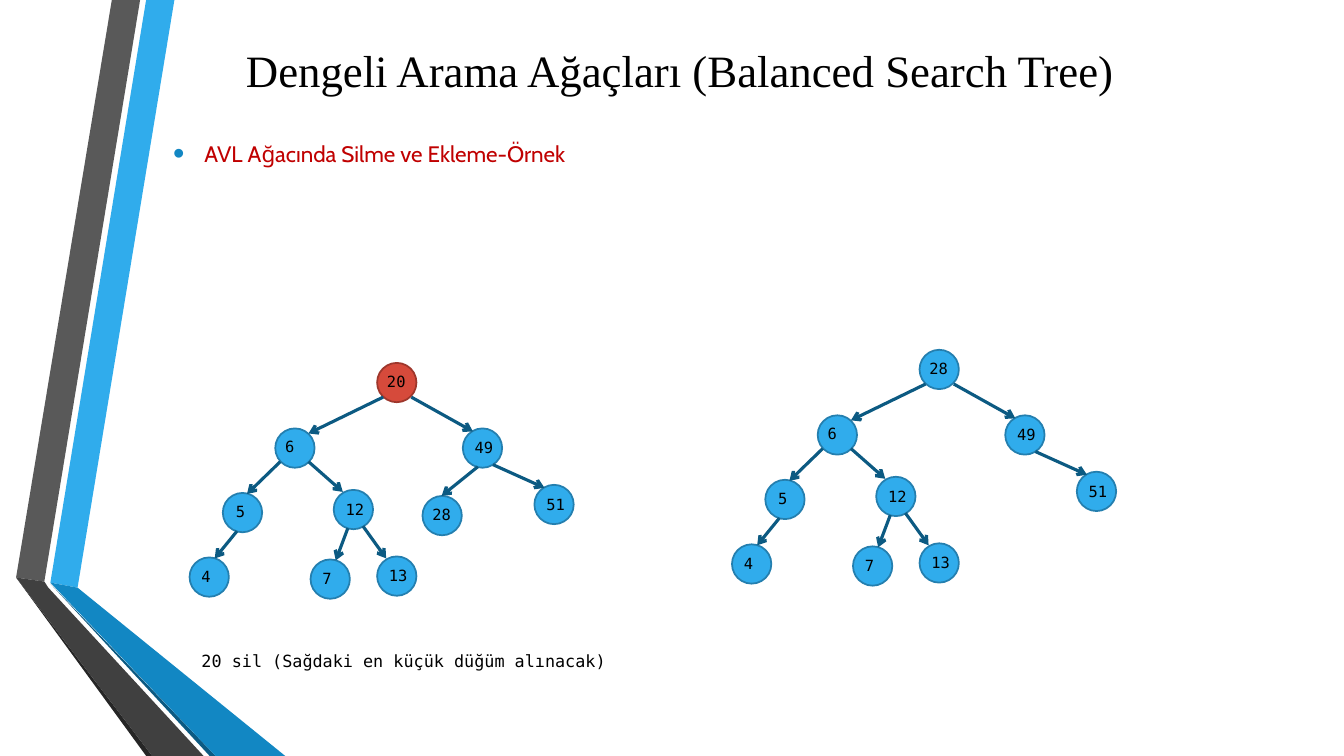
from lxml.etree import SubElement
from pptx import Presentation
from pptx.dml.color import RGBColor
from pptx.enum.shapes import MSO_CONNECTOR, MSO_SHAPE
from pptx.enum.text import MSO_ANCHOR, PP_ALIGN
from pptx.oxml.ns import qn
from pptx.util import Inches, Pt

BLACK = RGBColor(0x00, 0x00, 0x00)
DARK_RED = RGBColor(0xC0, 0x00, 0x00)
SKY = RGBColor(0x30, 0xAC, 0xEC)
SKY_LINE = RGBColor(0x24, 0x7F, 0xAF)
RED = RGBColor(0xD6, 0x4A, 0x3B)
RED_LINE = RGBColor(0x9E, 0x37, 0x2C)
BLUE = RGBColor(0x12, 0x87, 0xC3)
NAVY = RGBColor(0x0C, 0x5A, 0x82)
GREY = RGBColor(0x59, 0x59, 0x59)
DARK_GREY = RGBColor(0x40, 0x40, 0x40)
CHARCOAL = RGBColor(0x26, 0x26, 0x26)
MONO = "DejaVu Sans Mono"


def write(tf, text, name, size, color):
    p = tf.paragraphs[0]
    r = p.add_run()
    r.text = text
    for key, value in {"name": name, "size": Pt(size)}.items():
        setattr(r.font, key, value)
    r.font.color.rgb = color
    return p


def add_text(shapes, box, text, name, size, color):
    tf = shapes.add_textbox(*[Inches(v) for v in box]).text_frame
    tf.word_wrap = True
    return write(tf, text, name, size, color)


prs = Presentation()
prs.slide_width, prs.slide_height = Inches(13.33), Inches(7.5)
s = prs.slides.add_slide(prs.slide_layouts[5])

# Folded ribbons on the left edge
RIBBONS = [
    (SKY, [(0.5, 5.78), (0.77, 5.83), (1.73, 0), (1.45, 0)]),
    (GREY, [(1.39, 0), (1.11, 0), (0.16, 5.73), (0.44, 5.77)]),
    (CHARCOAL, [(0.16, 5.73), (1.45, 7.5), (1.51, 7.5)]),
    (NAVY, [(0.5, 5.79), (2.08, 7.5), (2.14, 7.5)]),
    (BLUE, [(0.5, 5.78), (2.14, 7.5), (2.83, 7.5), (0.77, 5.83)]),
    (DARK_GREY, [(2.02, 7.5), (0.48, 5.83), (0.44, 5.77), (0.16, 5.73), (1.51, 7.5)]),
]
for color, points in RIBBONS:
    points = [(Inches(x), Inches(y)) for x, y in points]
    builder = s.shapes.build_freeform(*points[0])
    builder.add_line_segments(points[1:], close=True)
    sp = builder.convert_to_shape()
    sp.shadow.inherit = False
    sp.fill.solid()
    sp.fill.fore_color.rgb = color
    sp.line.fill.background()

# Title
title = s.shapes.title
for key, value in {"left": 1.55, "top": 0.17, "width": 10.39, "height": 1.04}.items():
    setattr(title, key, Inches(value))
title.text_frame.vertical_anchor = MSO_ANCHOR.MIDDLE
p = write(title.text_frame, "Dengeli Arama Ağaçları (Balanced Search Tree)",
          "Times New Roman", 32, BLACK)
p.alignment = PP_ALIGN.CENTER

# Bulleted subtitle
p = add_text(s.shapes, (1.62, 1.21, 10.94, 0.63),
             "AVL Ağacında Silme ve Ekleme-Örnek", "Cabin", 16, DARK_RED)
pPr = p._p.get_or_add_pPr()
pPr.set("marL", str(Inches(0.31)))
pPr.set("indent", str(-Inches(0.31)))
SubElement(SubElement(pPr, qn("a:buClr")), qn("a:srgbClr"), val=str(BLUE))
SubElement(pPr, qn("a:buSzPct"), val="145000")
SubElement(pPr, qn("a:buFont"), typeface="Arial")
SubElement(pPr, qn("a:buChar"), char="•")
p.line_spacing = 1.5

# Caption
add_text(s.shapes, (1.9, 6.41, 4.59, 0.3),
         "20 sil (Sağdaki en küçük düğüm alınacak)", MONO, 12, BLACK)

# Node positions, and the shift of each label from its node
NODE = 0.39
HIGH, LOW = (0, 0.04), (0.02, 0.05)
NODES = {
    "20": (3.74, 3.6, HIGH),
    "6": (2.73, 4.25, HIGH),
    "49": (4.59, 4.25, LOW),
    "5": (2.21, 4.89, (0.03, 0.04)),
    "12": (3.31, 4.86, LOW),
    "28": (4.19, 4.92, HIGH),
    "51": (5.3, 4.81, LOW),
    "4": (1.88, 5.53, LOW),
    "7": (3.08, 5.55, LOW),
    "13": (3.74, 5.52, LOW),
}
# Arrow ends, by child node
ARROWS = {
    "6": (3.8, 3.94, 3.06, 4.3),
    "49": (4.08, 3.94, 4.69, 4.28),
    "5": (2.78, 4.58, 2.45, 4.9),
    "12": (3.06, 4.58, 3.4, 4.88),
    "28": (4.74, 4.63, 4.38, 4.92),
    "51": (4.89, 4.61, 5.4, 4.84),
    "4": (2.35, 5.27, 2.13, 5.54),
    "7": (3.45, 5.24, 3.33, 5.56),
    "13": (3.6, 5.22, 3.83, 5.54),
}

# Tree before the deletion, and after it with 28 moved to the root
TREES = [
    (0, 0, "20", NODES.keys()),
    (5.38, -0.13, "28", NODES.keys() - {"28"}),
]
for dx, dy, root, kept in TREES:
    tree = s.shapes.add_group_shape().shapes
    for key, (x, y, (label_dx, label_dy)) in NODES.items():
        if key not in kept:
            continue
        x, y = x + dx, y + dy
        label = root if key == "20" else key
        deleted = label == "20"
        sp = tree.add_shape(MSO_SHAPE.OVAL, Inches(x), Inches(y), Inches(NODE), Inches(NODE))
        sp.shadow.inherit = False
        sp.fill.solid()
        sp.fill.fore_color.rgb = RED if deleted else SKY
        sp.line.color.rgb = RED_LINE if deleted else SKY_LINE
        sp.line.width = Pt(1.25)
        add_text(tree, (x + label_dx, y + label_dy, 0.4, 0.29), label, MONO, 11, BLACK)
    for child, (x1, y1, x2, y2) in ARROWS.items():
        if child not in kept:
            continue
        arrow = tree.add_connector(MSO_CONNECTOR.STRAIGHT, Inches(x1 + dx), Inches(y1 + dy),
                                   Inches(x2 + dx), Inches(y2 + dy))
        arrow.line.color.rgb = NAVY
        arrow.line.width = Pt(2.25)
        SubElement(arrow.line._get_or_add_ln(), qn("a:tailEnd"), type="arrow")
        SubElement(arrow._element.spPr, qn("a:effectLst"))

prs.save("out.pptx")
